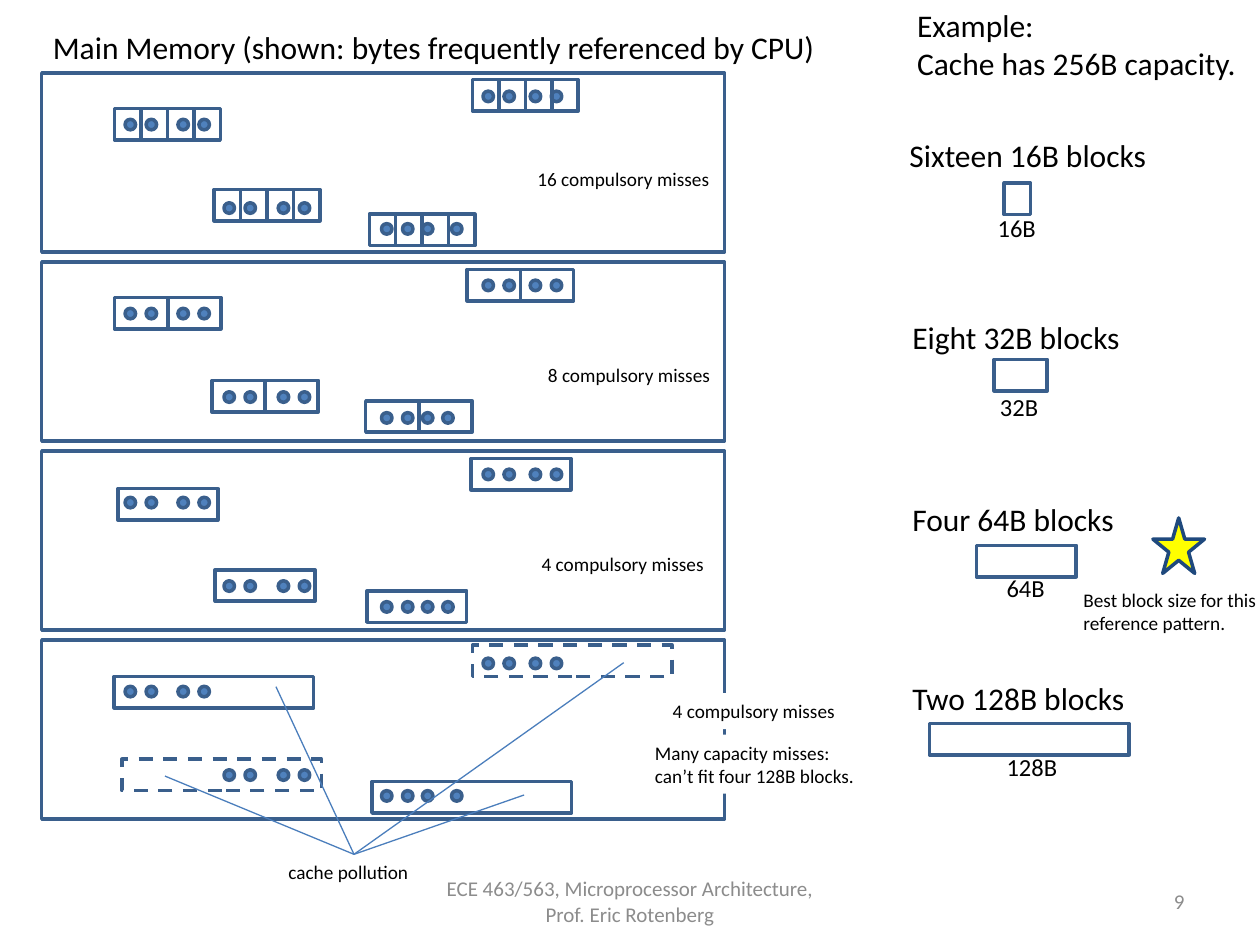
from lxml import etree
from pptx import Presentation
from pptx.dml.color import RGBColor
from pptx.enum import dml, shapes, text
from pptx.oxml.ns import qn
from pptx.util import Pt

COLORS = {
    "ink": "000000", "gray": "8C8C8C", "dot": "4F81BD", "edge": "3A5F8C",
    "ray": "4B7EBC", "paper": "FFFFFF", "star": "FFFF00", "navy": "1F497D",
}

# Content: all lengths are points, block and dot tops count from the panel top
TITLE = "Main Memory (shown: bytes frequently referenced by CPU)"
PANEL = dict(left=23.8, top=41.8, wide=390.2, high=102.2, step=108)
DOT, HIGH = 6, 18
DOTS = [  # top, lefts
    (26.4, (71.5, 83.5, 101.7, 113.7)),
    (74.1, (128, 140, 159, 171)),
    (10.3, (276, 288, 303, 315)),
    (86, (218, 230, 241.4)),
]
LAST = (258, 253, 253, 258)  # left of the final dot in each panel
BLOCKS = [  # width, blocks in a row, (left, top, dashed)
    (15.1, 4, [(65.5, 20.2, 0), (122.4, 66.4, 0), (270, 3.6, 0), (211, 80.6, 0)]),
    (30.4, 2, [(65.5, 20.2, 0), (121.1, 67.6, 0), (267, 4.2, 0), (209, 79.2, 0)]),
    (57, 1, [(67.5, 21.4, 0), (123, 67.8, 0), (269.2, 4.2, 0), (209.7, 79.8, 0)]),
    (114, 1, [(65.3, 20.7, 0), (212.6, 80.8, 0), (270, 2.8, 1), (69.7, 68, 1)]),
]
KEYS = [  # heading, left, top; block left, top; size, left, top
    ("Sixteen 16B blocks", 512.6, 74.2, 573.8, 104.6, "16B", 563, 118.1),
    ("Eight 32B blocks", 514.2, 178, 568.1, 205.4, "32B", 564.3, 220.3),
    ("Four 64B blocks", 514.2, 282.4, 558, 311.6, "64B", 568.1, 324),
    ("Two 128B blocks", 514.2, 384.6, 531.2, 413.4, "128B", 568.1, 426.2),
]
NOTES = [  # words, left, top, width, height, fill
    ("16 compulsory misses", 300, 92.2, 113, 20.6, None),
    ("8 compulsory misses", 306, 203.8, 107.3, 20.6, None),
    ("4 compulsory misses", 302.4, 311.8, 107.3, 20.6, None),
    ("4 compulsory misses", 377.3, 396, 107.3, 20.6, "paper"),
    ("Many capacity misses: \vcan’t fit four 128B blocks.", 367.2, 419.8, 129.6, 33.8, "paper"),
    ("Best block size for this\vreference pattern.", 612, 332.6, 114.5, 33.8, None),
    ("cache pollution", 157.7, 488.2, 87.8, 20.6, None),
]
HUB = (202.3, 488.2)
RAYS = [(299.5, 454.3), (157.7, 392.4), (94.3, 443.5), (356.4, 378.7)]

deck = Presentation()
deck.slide_width, deck.slide_height = Pt(720), Pt(540)
slide = deck.slides.add_slide(deck.slide_layouts[5])


def paint(fill, name):
    fill.solid()
    fill.fore_color.rgb = RGBColor.from_string(COLORS[name])


def draw(home, kind, x, y, w, h, fill=None, line="edge", dash=False):
    """Add an outlined preset shape to a shape collection."""
    item = home.add_shape(kind, Pt(x), Pt(y), Pt(w), Pt(h))
    item.shadow.inherit = False
    if fill:
        paint(item.fill, fill)
    else:
        item.fill.background()
    paint(item.line.fill, line)
    item.line.width = Pt(2)
    if dash:
        item.line.dash_style = dml.MSO_LINE.DASH
    return item


def write(words, x, y, w, h, size=18, color="ink", align="LEFT",
          anchor="TOP", wrap=False, fill=None, box=None):
    """Put words in a new text box, or in the given placeholder."""
    box = box or slide.shapes.add_textbox(Pt(x), Pt(y), Pt(w), Pt(h))
    box.left, box.top, box.width, box.height = Pt(x), Pt(y), Pt(w), Pt(h)
    if fill:
        paint(box.fill, fill)
    frame = box.text_frame
    frame.text = words
    frame.word_wrap = wrap
    frame.auto_size = text.MSO_AUTO_SIZE.NONE
    frame.vertical_anchor = getattr(text.MSO_ANCHOR, anchor)
    for para in frame.paragraphs:
        para.alignment = getattr(text.PP_ALIGN, align)
        para.font.size, para.font.name = Pt(size), "Calibri"
        para.font.color.rgb = RGBColor.from_string(COLORS[color])


RECT, OVAL = shapes.MSO_SHAPE.RECTANGLE, shapes.MSO_SHAPE.OVAL

# Headings
write(TITLE, 23, 12.2, 451, 29, box=slide.shapes.title)
write("Example:\nCache has 256B capacity.", 517, 0, 198.7, 51)

# Memory panels with referenced bytes and the blocks around them
for i, (wide, count, spots) in enumerate(BLOCKS):
    top = PANEL["top"] + i * PANEL["step"]
    group = slide.shapes.add_group_shape().shapes
    for y, lefts in DOTS:
        row = lefts if len(lefts) == 4 else lefts + (LAST[i],)
        for x in row:
            draw(group, OVAL, x, top + y, DOT, DOT, fill="dot")
    draw(group, RECT, PANEL["left"], top, PANEL["wide"], PANEL["high"])
    for x, y, dash in spots:
        for n in range(count):
            draw(slide.shapes, RECT, x + n * wide, top + y, wide, HIGH, dash=dash)

# Block size key
for (head, hx, hy, bx, by, size, sx, sy), (wide, *_) in zip(KEYS, BLOCKS):
    write(head, hx, hy, 151, 29)
    draw(slide.shapes, RECT, bx, by, wide, HIGH)
    write(size, sx, sy, 44 if len(size) > 3 else 37, 24.2, size=14)

# Notes
for words, x, y, w, h, fill in NOTES:
    write(words, x, y, w, h, size=11, fill=fill)

# Lines to the polluted parts
for x, y in RAYS:
    ray = slide.shapes.add_connector(
        shapes.MSO_CONNECTOR.STRAIGHT, Pt(HUB[0]), Pt(HUB[1]), Pt(x), Pt(y))
    paint(ray.line.fill, "ray")
    ray.line.width = Pt(0.75)
    etree.SubElement(ray._element.spPr, qn("a:effectLst"))

# Best choice
draw(slide.shapes, shapes.MSO_SHAPE.STAR_5_POINT, 658.8, 296, 29.5, 31.7,
     fill="star", line="navy")

# Footer
foot = dict(size=12, color="gray", anchor="MIDDLE", wrap=True)
write("ECE 463/563, Microprocessor Architecture, Prof. Eric Rotenberg",
      246, 500.5, 228, 28.8, align="CENTER", **foot)
write("9", 516, 500.5, 168, 28.8, align="RIGHT", **foot)

deck.save("out.pptx")
